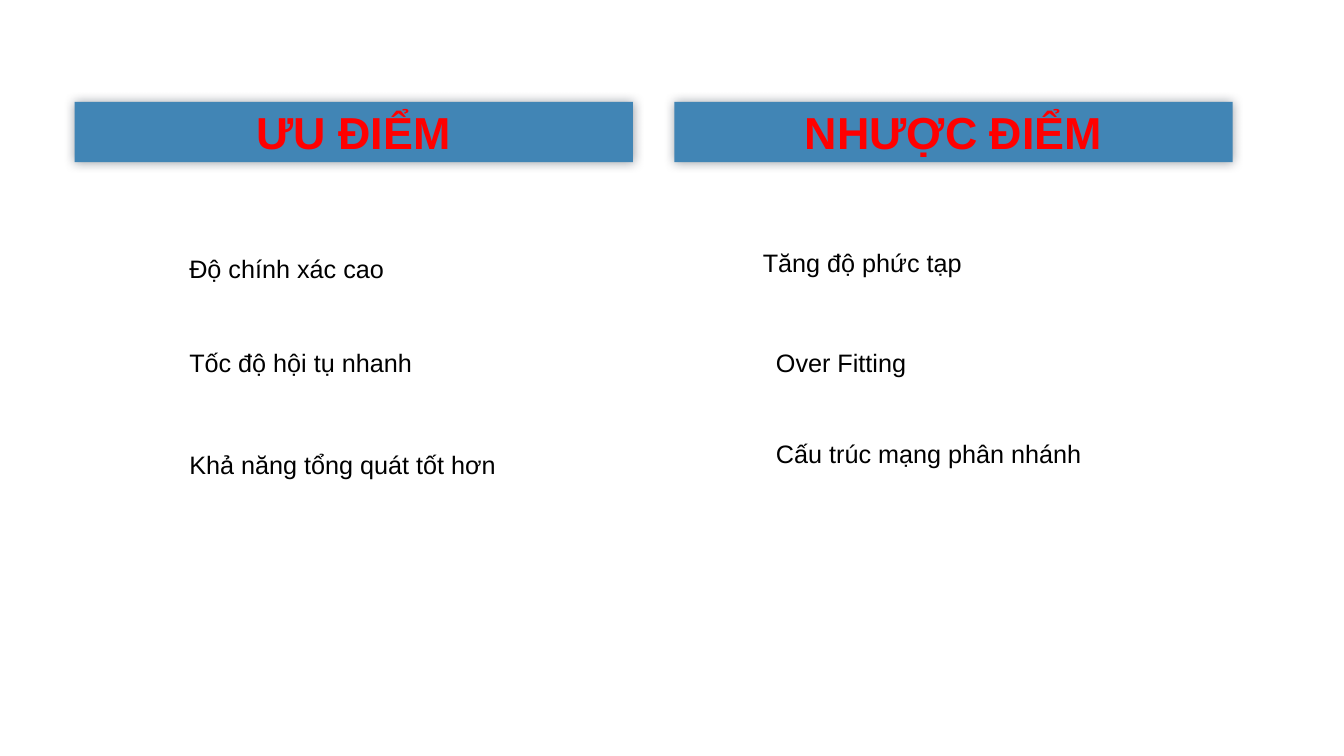
from lxml import etree
from pptx import Presentation
from pptx.dml.color import RGBColor
from pptx.enum.shapes import MSO_SHAPE
from pptx.enum.text import MSO_ANCHOR, MSO_AUTO_SIZE, PP_ALIGN
from pptx.oxml.ns import qn
from pptx.util import Pt

COLORS = {"bar": "4185B5", "heading": "FF0000", "body": "000000", "shadow": "091424"}
HEADINGS = [("ƯU ĐIỂM", 53.28), ("NHƯỢC ĐIỂM", 481.68)]
ITEMS = [
    ("Độ chính xác cao", 128.16, 177.12, 211.68),
    ("Tốc độ hội tụ nhanh", 128.16, 244.8, 211.68),
    ("Khả năng tổng quát tốt hơn", 128.16, 317.52, 243.36),
    ("Tăng độ phức tạp", 537.84, 172.8, 275.76),
    ("Over Fitting", 547.2, 244.8, 275.76),
    ("Cấu trúc mạng phân nhánh", 547.2, 309.6, 275.76),
]


def write_text(shape, text, size=18, color="body", bold=False,
               align=PP_ALIGN.LEFT, anchor=MSO_ANCHOR.TOP):
    frame = shape.text_frame
    frame.word_wrap = True
    frame.vertical_anchor = anchor
    paragraph = frame.paragraphs[0]
    paragraph.alignment = align
    run = paragraph.add_run()
    run.text = text
    run.font.name = "Arial"
    run.font.size = Pt(size)
    run.font.bold = bold
    run.font.color.rgb = RGBColor.from_string(COLORS[color])


def add_glow_shadow(shape, blur=8, opacity=40):
    shape.shadow.inherit = False
    effects = shape.element.spPr.find(qn("a:effectLst"))
    shadow = etree.SubElement(effects, qn("a:outerShdw"), blurRad=str(Pt(blur)),
                              dist="0", dir="0", algn="ctr", rotWithShape="0")
    color = etree.SubElement(shadow, qn("a:srgbClr"), val=COLORS["shadow"])
    etree.SubElement(color, qn("a:alpha"), val=str(opacity * 1000))


def add_heading(slide, text, left):
    bar = slide.shapes.add_shape(MSO_SHAPE.RECTANGLE, Pt(left), Pt(72.72),
                                 Pt(398.88), Pt(43.2))
    bar.fill.solid()
    bar.fill.fore_color.rgb = RGBColor.from_string(COLORS["bar"])
    bar.line.fill.background()
    add_glow_shadow(bar)
    write_text(bar, text, size=32, color="heading", bold=True,
               align=PP_ALIGN.CENTER, anchor=MSO_ANCHOR.MIDDLE)


def add_item(slide, text, left, top, width):
    box = slide.shapes.add_textbox(Pt(left), Pt(top), Pt(width), Pt(28.8))
    write_text(box, text)
    box.text_frame.auto_size = MSO_AUTO_SIZE.SHAPE_TO_FIT_TEXT


def main():
    """Build the slide that compares advantages and drawbacks."""
    presentation = Presentation()
    presentation.slide_width, presentation.slide_height = Pt(960), Pt(540)
    slide = presentation.slides.add_slide(presentation.slide_layouts[6])
    for heading in HEADINGS:
        add_heading(slide, *heading)
    for item in ITEMS:
        add_item(slide, *item)
    presentation.save("out.pptx")


if __name__ == "__main__":
    main()
